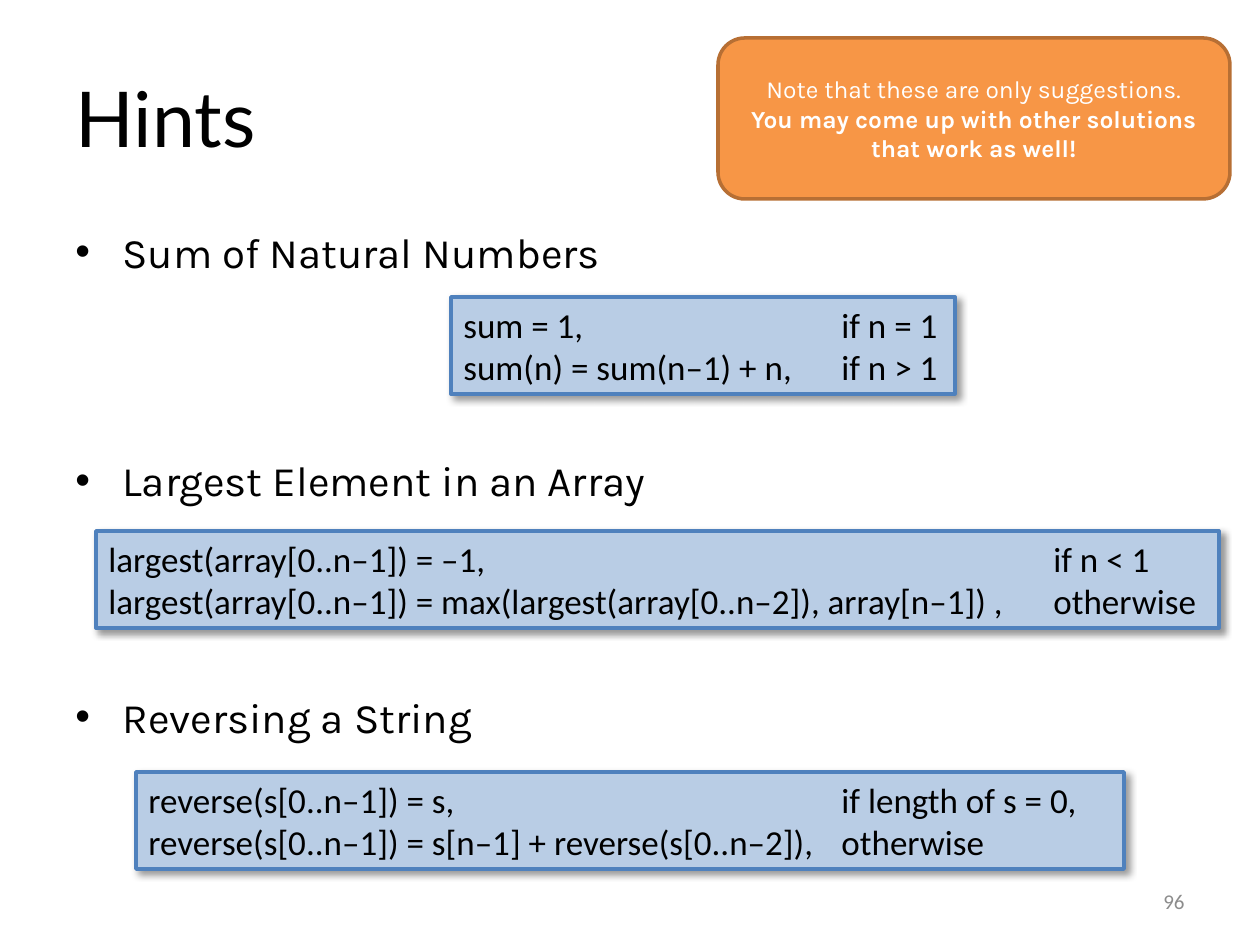
from dataclasses import dataclass

from lxml import etree
from pptx import Presentation, util as u
from pptx.dml.color import RGBColor
from pptx.enum import shapes, text
from pptx.oxml import parse_xml
from pptx.oxml.ns import nsdecls, qn

PX = 914400 / 126


@dataclass(frozen=True)
class Theme:
    ink: str = "000000"
    white: str = "FFFFFF"
    grey: str = "8C8C8C"
    formula_fill: str = "B9CDE5"
    formula_line: str = "4F81BD"
    note_fill: str = "F79646"
    note_line: str = "B76F34"
    heading: str = "Lato"
    body: str = "Karla"
    plain: str = "Calibri"
    title_size: int = 44
    bullet_size: int = 24
    formula_size: int = 20
    note_size: int = 14
    number_size: int = 12


T = Theme()

TITLE = "Hints"
TITLE_BOX = (63, 38, 1134, 157)
# (text, space before in px)
BULLETS = [
    ("Sum of Natural Numbers", 0),
    ("Largest Element in an Array", 178),
    ("Reversing a String", 186),
]
BULLETS_BOX = (63, 220, 1134, 624)
BULLET_INDENT = 47
# (left, top, width, tab stop, [(formula, condition), ...])
FORMULAS = [
    (451, 297, 504, 378, [
        ("sum = 1,", "if n = 1"),
        ("sum(n) = sum(n–1) + n,", "if n > 1")]),
    (96, 531, 1123, 945, [
        ("largest(array[0..n–1]) = –1,", "if n < 1"),
        ("largest(array[0..n–1]) = max(largest(array[0..n–2]), array[n–1]) ,", "otherwise")]),
    (136, 772, 988, 693, [
        ("reverse(s[0..n–1]) = s,", "if length of s = 0,"),
        ("reverse(s[0..n–1]) = s[n–1] + reverse(s[0..n–2]),", "otherwise")]),
]
FORMULA_HEIGHT = 97
NOTE = ["Note that these are only suggestions.",
        "You may come up with other solutions that work as well!"]
NOTE_BOX = (718, 38, 512, 161)
NUMBER = "96"
NUMBER_BOX = (903, 876, 294, 50)


def px(n):
    return u.Emu(round(n * PX))


def box(values):
    return [px(v) for v in values]


def style(p, font, size, color, align=text.PP_ALIGN.LEFT, bold=False):
    p.alignment = align
    for r in p.runs:
        r.font.name, r.font.size, r.font.bold = font, u.Pt(size), bold
        r.font.color.rgb = RGBColor.from_string(color)


def add_panel(s, kind, place, fill, line):
    sp = s.shapes.add_shape(kind, *box(place))
    sp.shadow.inherit = False
    sp.fill.solid()
    sp.fill.fore_color.rgb = RGBColor.from_string(fill)
    sp.line.color.rgb = RGBColor.from_string(line)
    sp.line.width = u.Pt(2)
    sp.text_frame.word_wrap = True
    return sp


def add_drop_shadow(sp):
    effects = sp._element.spPr.find(qn("a:effectLst"))
    effects.append(parse_xml(
        f'<a:outerShdw {nsdecls("a")} blurRad="{u.Pt(4)}" dist="{u.Pt(3)}" dir="2700000" '
        f'algn="tl" rotWithShape="0"><a:srgbClr val="{T.ink}"><a:alpha val="40000"/>'
        '</a:srgbClr></a:outerShdw>'))


def add_bullet(p):
    pPr = p._p.get_or_add_pPr()
    pPr.set("marL", str(px(BULLET_INDENT)))
    pPr.set("indent", str(-px(BULLET_INDENT)))
    etree.SubElement(pPr, qn("a:buFont"), typeface="Arial")
    etree.SubElement(pPr, qn("a:buChar"), char="•")


def add_tab_stop(p, position):
    tabs = etree.SubElement(p._p.get_or_add_pPr(), qn("a:tabLst"))
    etree.SubElement(tabs, qn("a:tab"), pos=str(px(position)), algn="l")


def add_title(s):
    title = s.shapes.title
    title.left, title.top, title.width, title.height = box(TITLE_BOX)
    title.text_frame.text = TITLE
    title.text_frame.vertical_anchor = text.MSO_ANCHOR.MIDDLE
    style(title.text_frame.paragraphs[0], T.heading, T.title_size, T.ink)


def add_bullets(s):
    tf = s.shapes.add_textbox(*box(BULLETS_BOX)).text_frame
    tf.word_wrap = True
    tf.text = "\n".join(label for label, _ in BULLETS)
    for p, (_, gap) in zip(tf.paragraphs, BULLETS):
        if gap:
            p.space_before = u.Pt(round(px(gap).pt, 1))
        add_bullet(p)
        style(p, T.body, T.bullet_size, T.ink)


def add_formula(s, left, top, width, tab, rows):
    sp = add_panel(s, shapes.MSO_SHAPE.RECTANGLE, (left, top, width, FORMULA_HEIGHT),
                   T.formula_fill, T.formula_line)
    add_drop_shadow(sp)
    tf = sp.text_frame
    tf.vertical_anchor = text.MSO_ANCHOR.TOP
    tf.text = "\n".join("\t".join(row) for row in rows)
    for p in tf.paragraphs:
        add_tab_stop(p, tab)
        style(p, T.plain, T.formula_size, T.ink)


def add_note(s):
    sp = add_panel(s, shapes.MSO_SHAPE.ROUNDED_RECTANGLE, NOTE_BOX, T.note_fill, T.note_line)
    tf = sp.text_frame
    tf.vertical_anchor = text.MSO_ANCHOR.MIDDLE
    tf.text = "\n".join(NOTE)
    for i, p in enumerate(tf.paragraphs):
        style(p, T.body, T.note_size, T.white, text.PP_ALIGN.CENTER, bold=i > 0)


def add_number(s):
    tf = s.shapes.add_textbox(*box(NUMBER_BOX)).text_frame
    tf.word_wrap = True
    tf.vertical_anchor = text.MSO_ANCHOR.MIDDLE
    tf.text = NUMBER
    style(tf.paragraphs[0], T.plain, T.number_size, T.grey, text.PP_ALIGN.RIGHT)


def main():
    prs = Presentation()
    prs.slide_width, prs.slide_height = box((1260, 945))
    s = prs.slides.add_slide(prs.slide_layouts[5])
    add_title(s)
    add_bullets(s)
    add_number(s)
    for formula in FORMULAS:
        add_formula(s, *formula)
    add_note(s)
    prs.save("out.pptx")


if __name__ == "__main__":
    main()
